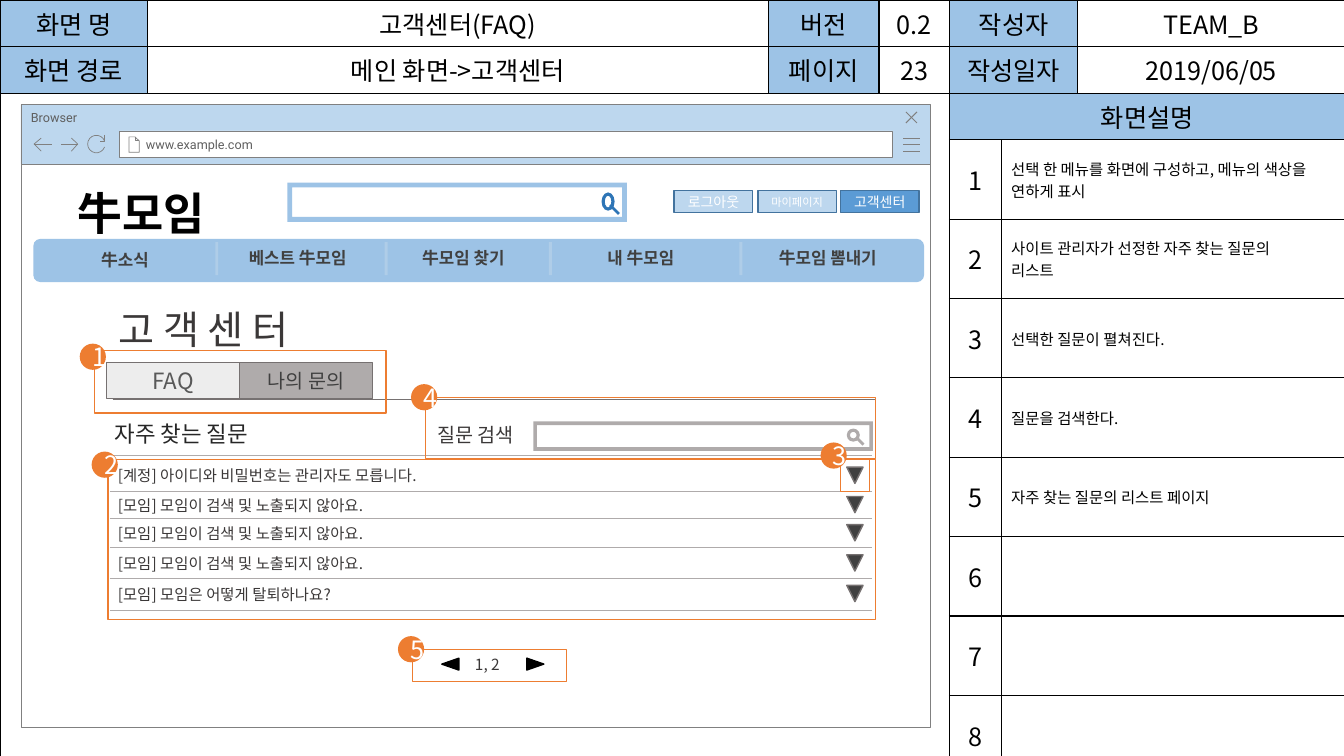
import math
from dataclasses import dataclass
from lxml import etree
from pptx import Presentation, util as u
from pptx.dml.color import RGBColor
from pptx.enum import shapes, text
from pptx.oxml import ns, parse_xml

KIND = shapes.MSO_SHAPE
ALIGN = text.PP_ALIGN
ANCHOR = text.MSO_ANCHOR


@dataclass(frozen=True)
class Theme:
    korean: str = "Noto Sans CJK KR"
    latin: str = "Roboto"
    black: str = "000000"
    white: str = "FFFFFF"
    header: str = "9DC3E6"
    pale: str = "BDD7EE"
    active: str = "5B9BD5"
    button_edge: str = "43739E"
    lens: str = "2E75B6"
    accent: str = "ED7D31"
    chrome: str = "808080"
    chrome_text: str = "5F5F5F"
    ink: str = "3B3838"
    dark: str = "404040"
    title_ink: str = "262626"
    tab_ink: str = "595959"
    edge: str = "767171"
    rule: str = "AFABAB"
    tab: str = "EDEDED"
    divider: str = "F2F2F2"
    logo: int = 32
    title: int = 28
    large: int = 18
    heading: int = 16
    label: int = 14
    menu: int = 12
    body: int = 11
    button: int = 10
    small: int = 9
    tiny: int = 8


class Wireframe:
    def __init__(self, slide, theme):
        self.slide = slide
        self.theme = theme

    def add_words(self, frame, words, size, color, font=None, bold=False, align=ALIGN.LEFT):
        for index, line in enumerate(words.split("\n")):
            paragraph = frame.paragraphs[0] if index == 0 else frame.add_paragraph()
            paragraph.alignment = align
            run = paragraph.add_run()
            run.text = line
            run.font.size = u.Pt(size)
            run.font.bold = bold
            run.font.color.rgb = RGBColor.from_string(color)
            run.font.name = font or self.theme.korean
            east_asian = etree.SubElement(run.font._element, ns.qn("a:ea"))
            east_asian.set("typeface", run.font.name)

    def paint(self, shape, fill, line, width):
        shape.shadow.inherit = False
        if fill:
            shape.fill.solid()
            shape.fill.fore_color.rgb = RGBColor.from_string(fill)
        else:
            shape.fill.background()
        if line:
            shape.line.color.rgb = RGBColor.from_string(line)
            shape.line.width = u.Pt(width)
        else:
            shape.line.fill.background()

    def shape(self, kind, box, fill=None, line=None, width=1, rotation=0, adjust=None):
        shape = self.slide.shapes.add_shape(kind, *map(u.Cm, box))
        self.paint(shape, fill, line, width)
        shape.rotation = rotation
        if adjust is not None:
            shape.adjustments[0] = adjust
        return shape

    def chrome_bar(self, box, fill, words, inset, anchor):
        shape = self.shape(KIND.RECTANGLE, box, fill, self.theme.chrome, 0.5)
        shape.text_frame.margin_left = u.Cm(inset)
        shape.text_frame.vertical_anchor = anchor
        self.add_words(shape.text_frame, words, self.theme.small, self.theme.chrome_text, self.theme.latin)

    def button(self, box, fill, line, words, size, color):
        shape = self.shape(KIND.RECTANGLE, box, fill, line)
        self.add_words(shape.text_frame, words, size, color, align=ALIGN.CENTER)

    def badge(self, left, top, number):
        shape = self.shape(KIND.OVAL, (left, top, 0.66, 0.66), self.theme.accent)
        self.add_words(shape.text_frame, number, self.theme.large, self.theme.white, align=ALIGN.CENTER)

    def label(self, box, words, size, color, bold=False, align=ALIGN.LEFT, wrap=True):
        shape = self.slide.shapes.add_textbox(*map(u.Cm, box))
        shape.text_frame.word_wrap = wrap
        shape.text_frame.auto_size = text.MSO_AUTO_SIZE.SHAPE_TO_FIT_TEXT
        self.add_words(shape.text_frame, words, size, color, bold=bold, align=align)

    def line(self, start, end, color, width, alpha=None):
        connector = self.slide.shapes.add_connector(
            shapes.MSO_CONNECTOR.STRAIGHT, *map(u.Cm, start + end))
        connector.line.color.rgb = RGBColor.from_string(color)
        connector.line.width = u.Pt(width)
        properties = connector._element.spPr
        if alpha:
            tint = properties.find(".//" + ns.qn("a:srgbClr"))
            etree.SubElement(tint, ns.qn("a:alpha")).set("val", str(alpha * 1000))
        etree.SubElement(properties, ns.qn("a:effectLst"))

    def icon(self, *strokes, width=0.5):
        outlines = [[(u.Cm(x), u.Cm(y)) for x, y in stroke] for stroke in strokes]
        builder = self.slide.shapes.build_freeform(*outlines[0][0])
        for index, points in enumerate(outlines):
            if index:
                builder.move_to(*points[0])
            builder.add_line_segments(points[1:], close=False)
        self.paint(builder.convert_to_shape(), None, self.theme.chrome, width)

    def search(self, frame, handle, ring, color, lens):
        self.shape(KIND.FRAME, frame, color, adjust=0.125)
        self.shape(KIND.MATH_MINUS, handle, lens, rotation=45, adjust=0.235)
        self.shape(KIND.DONUT, ring, lens, adjust=0.25)

    def table(self, widths, heights, merges, cells):
        box = (0, 0, sum(widths), sum(heights))
        table = self.slide.shapes.add_table(len(heights), len(widths), *map(u.Cm, box)).table
        table.first_row = table.horz_banding = False
        for column, width in zip(table.columns, widths):
            column.width = u.Cm(width)
        for row, height in zip(table.rows, heights):
            row.height = u.Cm(height)
        for first, last in merges:
            table.cell(*first).merge(table.cell(*last))
        for cell in table.iter_cells():
            cell.fill.background()
            cell.vertical_anchor = ANCHOR.MIDDLE
            for index, side in enumerate(("lnL", "lnR", "lnT", "lnB")):
                cell._tc.get_or_add_tcPr().insert(index, parse_xml(
                    f'<a:{side} {ns.nsdecls("a")} w="12700"><a:solidFill>'
                    f'<a:srgbClr val="{self.theme.black}"/></a:solidFill></a:{side}>'))
        for (row, column), (words, size, align, fill) in cells.items():
            cell = table.cell(row, column)
            if fill:
                cell.fill.solid()
                cell.fill.fore_color.rgb = RGBColor.from_string(fill)
            self.add_words(cell.text_frame, words, size, self.theme.black, align=align)


def draw_browser(page, theme):
    page.shape(KIND.RECTANGLE, (0.53, 4.11, 22.91, 14.22), theme.white, theme.chrome, 0.5)
    page.chrome_bar((0.53, 2.64, 22.91, 1.5), theme.pale, "Browser", 0.25, ANCHOR.TOP)
    page.icon(*[[(22.76, y), (23.19, y)] for y in (3.81, 3.63, 3.48)])
    page.icon([(23.11, 2.82), (22.83, 3.1)], [(22.83, 2.82), (23.11, 3.1)], width=0.75)
    page.chrome_bar((3.02, 3.3, 19.48, 0.66), theme.white, "www.example.com", 0.66, ANCHOR.MIDDLE)
    page.icon([(3.4, 3.45), (3.4, 3.55), (3.51, 3.55)],
              [(3.25, 3.45), (3.25, 3.84), (3.51, 3.84), (3.51, 3.55), (3.4, 3.45), (3.25, 3.45)])
    page.icon([(1.04, 3.81), (0.86, 3.63), (1.04, 3.48)], [(0.86, 3.63), (1.3, 3.63)])
    page.icon([(1.8, 3.48), (1.96, 3.63), (1.8, 3.81)], [(1.96, 3.63), (1.55, 3.63)])
    angles = [math.radians(degrees) for degrees in range(20, 341, 20)]
    page.icon([(2.64, 3.4), (2.64, 3.56), (2.51, 3.56)],
              [(2.43 + 0.22 * math.cos(angle), 3.63 + 0.22 * math.sin(angle)) for angle in angles])


def draw_table(page, theme):
    cells = {}
    headers = [("화면 명", "고객센터(FAQ)", "버전", "0.2", "작성자", "TEAM_B"),
               ("화면 경로", "메인 화면->고객센터", "페이지", "23", "작성일자", "2019/06/05")]
    for row, values in enumerate(headers):
        for column, words in zip((0, 1, 2, 3, 4, 6), values):
            fill = theme.header if column % 2 == 0 and column < 6 else None
            cells[row, column] = (words, theme.large, ALIGN.CENTER, fill)
    cells[2, 4] = ("화면설명", theme.large, ALIGN.CENTER, theme.header)
    notes = ["선택 한 메뉴를 화면에 구성하고, 메뉴의 색상을 연하게 표시",
             "사이트 관리자가 선정한 자주 찾는 질문의\n리스트",
             "선택한 질문이 펼쳐진다.", "질문을 검색한다.", "자주 찾는 질문의 리스트 페이지"]
    for number in range(1, 9):
        cells[number + 2, 4] = (str(number), theme.large, ALIGN.CENTER, None)
    for row, note in enumerate(notes, 3):
        cells[row, 5] = (note, theme.body, ALIGN.LEFT, None)
    merges = [((0, 4), (0, 5)), ((1, 4), (1, 5)), ((2, 0), (10, 3)), ((2, 4), (2, 6))]
    merges += [((row, 5), (row, 6)) for row in range(3, 11)]
    page.table([3.71, 15.65, 2.79, 1.78, 1.3, 1.93, 6.73], [1.04] * 3 + [2] * 8, merges, cells)


def draw_site_header(page, theme):
    for left, fill, words, size in [(16.99, theme.pale, "로그아웃", theme.button),
                                    (19.1, theme.pale, "마이페이지", theme.tiny),
                                    (21.18, theme.active, "고객센터", theme.button)]:
        page.button((left, 4.8, 1.98, 0.56), fill, theme.button_edge, words, size, theme.white)
    page.search((7.24, 4.6, 8.56, 0.99), (15.27, 5.13, 0.43, 0.3), (15.16, 4.85, 0.33, 0.46),
                theme.header, theme.lens)
    page.label((1.7, 4.55, 3.96, 1.63), "牛모임", theme.logo, theme.black, bold=True)
    page.shape(KIND.ROUNDED_RECTANGLE, (0.84, 6.02, 22.45, 1.09), theme.header)
    page.label((0.84, 6.16, 4.62, 0.76), "牛소식", theme.menu, theme.dark, True, ALIGN.CENTER)
    for left, width, words in [(6.02, 3.25, "베스트 牛모임"), (10.39, 2.84, "牛모임 찾기"),
                               (15.06, 3.25, "내 牛모임"), (19.38, 3.25, "牛모임 뽐내기")]:
        page.label((left, 6.12, width, 0.76), words, theme.menu, theme.dark, True)
    for x in (5.46, 9.73, 13.87, 18.67):
        page.line((x, 6.1), (x, 6.93), theme.divider, 2, alpha=22)


def draw_questions(page, theme):
    page.label((1.55, 7.57, 7.16, 1.45), "고 객 센 터", theme.title, theme.ink, align=ALIGN.CENTER)
    page.line((2.84, 10.06), (22.07, 10.06), theme.edge, 0.5)
    page.button((2.69, 9.14, 3.35, 0.91), theme.tab, theme.edge, "FAQ", theme.heading, theme.tab_ink)
    page.button((6.04, 9.14, 3.35, 0.91), theme.rule, theme.edge, "나의 문의", theme.label, theme.dark)
    page.label((2.64, 10.46, 4.34, 0.94), "자주 찾는 질문", theme.heading, theme.title_ink, wrap=False)
    page.line((2.77, 11.48), (21.97, 11.48), theme.rule, 0.5)
    repeated = "[모임] 모임이 검색 및 노출되지 않아요."
    for top, bottom, words in [(11.63, 12.37, "[계정] 아이디와 비밀번호는 관리자도 모릅니다."),
                               (12.37, 13.06, repeated), (13.08, 13.79, repeated),
                               (13.84, 14.58, repeated),
                               (14.61, 15.37, "[모임] 모임은 어떻게 탈퇴하나요?")]:
        page.label((2.72, top, 19.28, 0.74), words, theme.body, theme.ink)
        page.line((2.77, bottom), (21.97, bottom), theme.rule, 0.5)
        page.shape(KIND.ISOSCELES_TRIANGLE, (21.34, top + 0.14, 0.41, 0.41), theme.dark, theme.edge,
                   rotation=180)
    page.search((13.44, 10.62, 8.56, 0.74), (21.51, 10.97, 0.33, 0.3), (21.34, 10.8, 0.33, 0.33),
                theme.rule, theme.rule)
    page.label((10.77, 10.54, 2.72, 0.86), "질문 검색", theme.label, theme.ink)
    for left, rotation in ((11.2, 270), (13.34, 90)):
        page.shape(KIND.ISOSCELES_TRIANGLE, (left, 16.52, 0.3, 0.43), theme.black, theme.black,
                   rotation=rotation)
    page.label((11.72, 16.38, 7, 0.74), "1, 2", theme.body, theme.ink)


def draw_callouts(page, theme):
    for box in [(2.39, 8.84, 7.34, 1.57), (2.72, 11.58, 19.35, 4.04), (21.18, 11.58, 0.74, 0.81),
                (10.72, 10.01, 11.35, 1.55), (10.39, 16.36, 3.89, 0.81)]:
        page.shape(KIND.RECTANGLE, box, line=theme.accent)
    badges = [(2.01, 8.66), (2.31, 11.38), (20.68, 11.15), (10.36, 9.68), (10.03, 16.03)]
    for number, (left, top) in enumerate(badges, 1):
        page.badge(left, top, str(number))


def main():
    presentation = Presentation()
    presentation.slide_width, presentation.slide_height = u.Cm(33.87), u.Cm(19.05)
    theme = Theme()
    page = Wireframe(presentation.slides.add_slide(presentation.slide_layouts[6]), theme)
    for draw in (draw_browser, draw_table, draw_site_header, draw_questions, draw_callouts):
        draw(page, theme)
    presentation.save("out.pptx")


if __name__ == "__main__":
    main()
